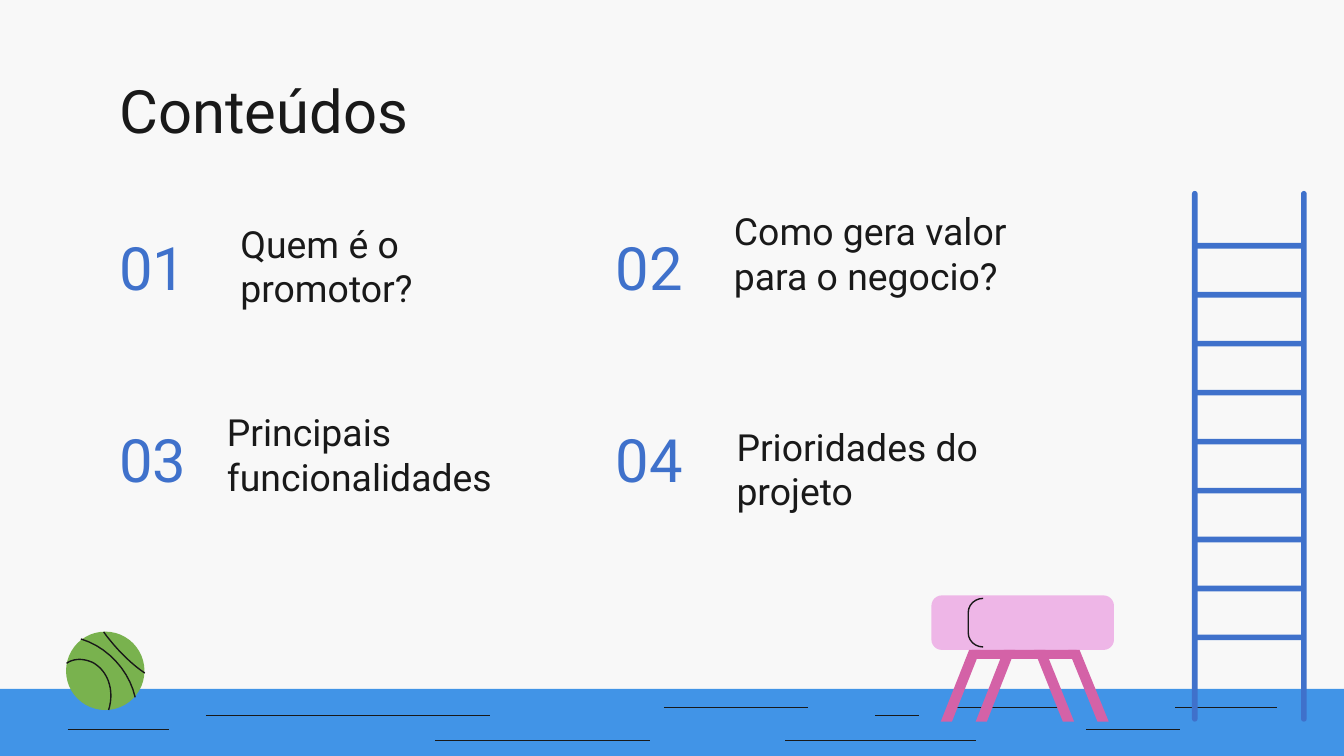
from lxml.etree import SubElement
from pptx import Presentation
from pptx.dml.color import RGBColor
from pptx.enum.shapes import MSO_CONNECTOR, MSO_SHAPE
from pptx.enum.text import MSO_ANCHOR
from pptx.oxml.ns import qn
from pptx.util import Pt

BLUE, INK, WATER = "3F71CB", "191919", "4194E7"
PAD, LEGS, GREEN, PAPER = "EEB6E7", "D462A7", "79B24E", "F8F8F8"


def color(value):
    return RGBColor.from_string(value)


def fill_shape(shape, value):
    shape.shadow.inherit = False
    shape.fill.solid()
    shape.fill.fore_color.rgb = color(value)
    shape.line.fill.background()


def outline_shape(shape):
    shape.shadow.inherit = False
    shape.fill.background()
    shape.line.color.rgb = color(INK)
    shape.line.width = Pt(0.75)


def add_block(slide, kind, left, top, width, height, value):
    shape = slide.shapes.add_shape(kind, Pt(left), Pt(top), Pt(width), Pt(height))
    fill_shape(shape, value)
    return shape


def add_outline(slide, points, left, top, close):
    """Draw a freeform through points given relative to left, top."""
    corners = [(Pt(left + x), Pt(top + y)) for x, y in points]
    builder = slide.shapes.build_freeform(*corners[0], scale=1.0)
    builder.add_line_segments(corners[1:], close=close)
    return builder.convert_to_shape()


def curve_points(points, steps=10):
    """Sample a chain of cubic curves: a start, then three points per curve."""
    samples = [points[0]]
    for first in range(0, len(points) - 1, 3):
        a, b, c, d = points[first:first + 4]
        for step in range(1, steps + 1):
            t = step / steps
            weights = ((1 - t) ** 3, 3 * t * (1 - t) ** 2, 3 * t * t * (1 - t), t ** 3)
            samples.append(tuple(
                sum(weight * point[axis] for weight, point in zip(weights, (a, b, c, d)))
                for axis in (0, 1)))
    return samples


def add_text(slide, text, left, top, width, height, size, value, anchor):
    box = slide.shapes.add_textbox(Pt(left), Pt(top), Pt(width), Pt(height))
    frame = box.text_frame
    frame.word_wrap = True
    frame.vertical_anchor = anchor
    frame.margin_left = frame.margin_right = Pt(7.2)
    frame.margin_top = frame.margin_bottom = Pt(7.2)
    paragraph = frame.paragraphs[0]
    paragraph.text = text
    paragraph.font.name = "Roboto"
    paragraph.font.size = Pt(size)
    paragraph.font.color.rgb = color(value)


def add_water(slide, left, top, width, height):
    add_block(slide, MSO_SHAPE.RECTANGLE, left, top, width, height, WATER)
    # Ripples: start, end and depth below the surface
    ripples = [(509.8, 572.4, 10), (629.5, 684, 10), (355.7, 432.7, 10),
               (468.8, 492.4, 14.4), (110.3, 262.6, 14.4),
               (36.2, 90.4, 21.7), (582, 632.2, 21.7),
               (420.6, 522.8, 27.8), (233, 348.3, 27.8)]
    for start, end, depth in ripples:
        line = slide.shapes.add_connector(
            MSO_CONNECTOR.STRAIGHT, Pt(left + start), Pt(top + depth),
            Pt(left + end), Pt(top + depth))
        line.line.color.rgb = color(INK)
        line.line.width = Pt(0.75)
        SubElement(line._element.spPr, qn("a:effectLst"))


def add_contents(slide, left, top):
    # Each entry: number, heading, and the heading's own offset
    entries = [("01", "Quem é o promotor?", 64.8, 18),
               ("02", "Como gera valor para o negocio?", 63.4, 11.5),
               ("03", "Principais funcionalidades", 57.6, 15.8),
               ("04", "Prioridades do projeto", 64.8, 23.8)]
    for index, (number, heading, shift_x, shift_y) in enumerate(entries):
        row, column = divmod(index, 2)
        x, y = left + column * 265.8, top + row * 103
        add_text(slide, heading, x + shift_x, y + shift_y, 187.2, 36, 20, INK,
                 MSO_ANCHOR.BOTTOM)
        add_text(slide, number, x, y, 64.8, 46.8, 32, BLUE, MSO_ANCHOR.MIDDLE)


def add_ladder(slide, left, top, width, height):
    thickness = 3
    for x in (left, left + width - thickness):
        rail = add_block(slide, MSO_SHAPE.ROUNDED_RECTANGLE, x, top, thickness, height, BLUE)
        rail.adjustments[0] = 0.5
    for rung in range(9):
        add_block(slide, MSO_SHAPE.RECTANGLE, left + thickness / 2,
                  top + 27.9 + rung * 26.23, width - thickness, thickness, BLUE)


def add_vault(slide, left, top, width, height):
    # Padded top with its seam
    pad_height = 29.2
    pad = add_block(slide, MSO_SHAPE.ROUNDED_RECTANGLE, left, top, width, pad_height, PAD)
    pad.adjustments[0] = 0.19
    seam = slide.shapes.add_shape(MSO_SHAPE.LEFT_BRACKET, Pt(left + 19.7), Pt(top + 1.6),
                                  Pt(8), Pt(26))
    outline_shape(seam)
    seam.adjustments[0] = 0.95
    # Crossbar and splayed legs: top and foot of each
    leg_top = top + pad_height
    add_block(slide, MSO_SHAPE.RECTANGLE, left + 21.6, leg_top, 56.2, 4.8, LEGS)
    for head, foot in ((20.2, 5), (38.8, 23.7), (55, 70.4), (73.4, 89)):
        leg = add_outline(
            slide, [(head, 0), (foot, height - pad_height),
                    (foot + 6, height - pad_height), (head + 6, 0)],
            left, leg_top, True)
        fill_shape(leg, LEGS)


def add_ball(slide, left, top, size):
    add_block(slide, MSO_SHAPE.OVAL, left, top, size, size, GREEN)
    seams = [
        [(0.3, 17), (2.3, 15.5), (4.8, 14.9), (7.2, 14.9), (9.7, 14.9), (12.2, 15.6),
         (14.4, 16.6), (18.5, 18.9), (21.6, 22.8), (23, 27.5), (24.4, 32),
         (24.4, 36.9), (22.8, 42)],
        [(7.9, 3.9), (22.3, 8.3), (33.8, 20.9), (37, 35.2)],
        [(20.2, 0.2), (25.4, 7.6), (34.2, 16.9), (42.2, 22.2)],
    ]
    for seam in seams:
        outline_shape(add_outline(slide, curve_points(seam), left, top, False))


def main():
    presentation = Presentation()
    presentation.slide_width, presentation.slide_height = Pt(720), Pt(405)
    slide = presentation.slides.add_slide(presentation.slide_layouts[6])
    slide.background.fill.solid()
    slide.background.fill.fore_color.rgb = color(PAPER)

    add_water(slide, 0, 369, 720, 36)
    add_contents(slide, 56.9, 119.5)
    add_text(slide, "Conteúdos", 56.9, 32.4, 607, 50.4, 32, INK, MSO_ANCHOR.TOP)
    add_ladder(slide, 638.6, 102.3, 61.4, 284.3)
    add_vault(slide, 499, 319, 97.8, 67.6)
    add_ball(slide, 35.4, 338.4, 42)
    presentation.save("out.pptx")


if __name__ == "__main__":
    main()
